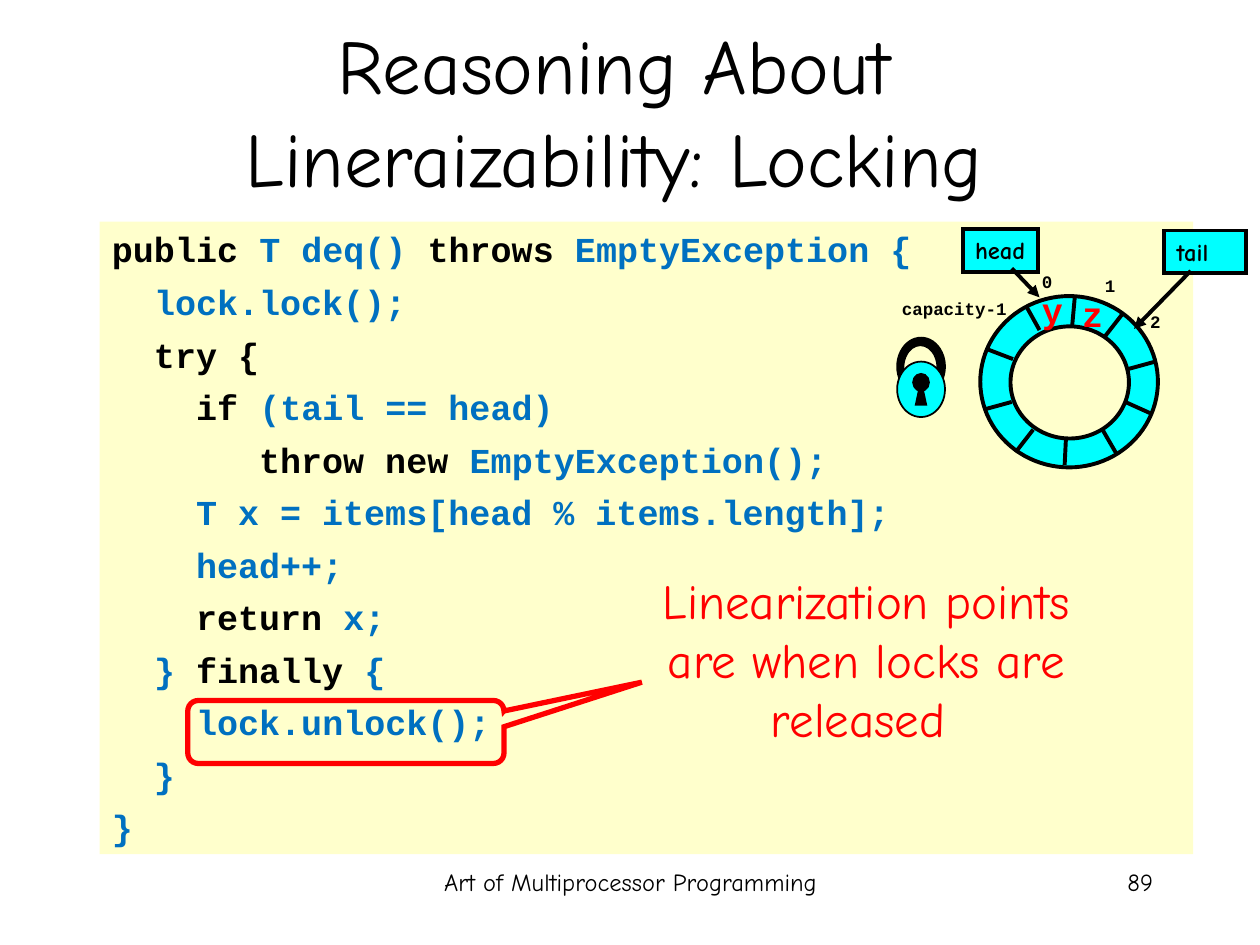
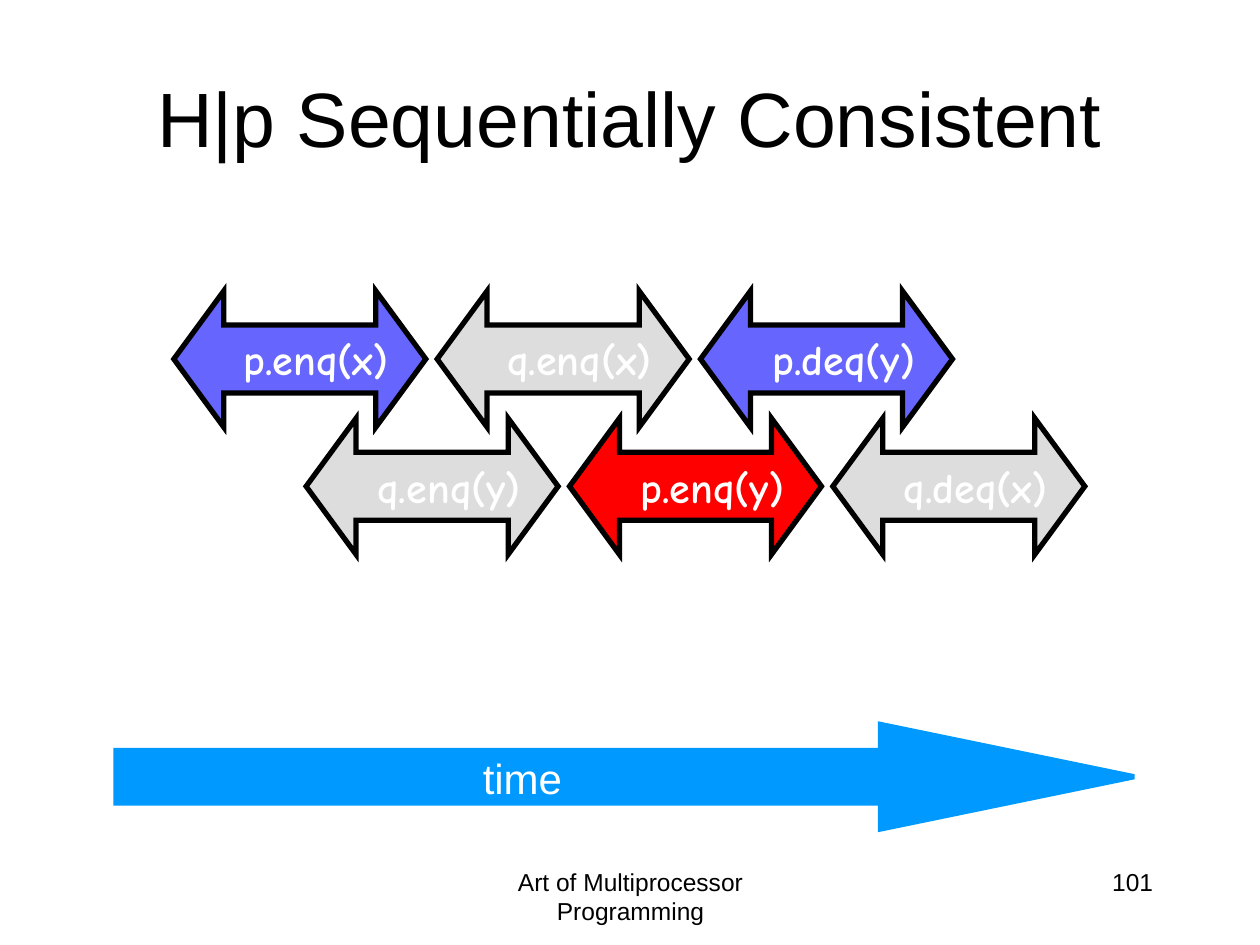
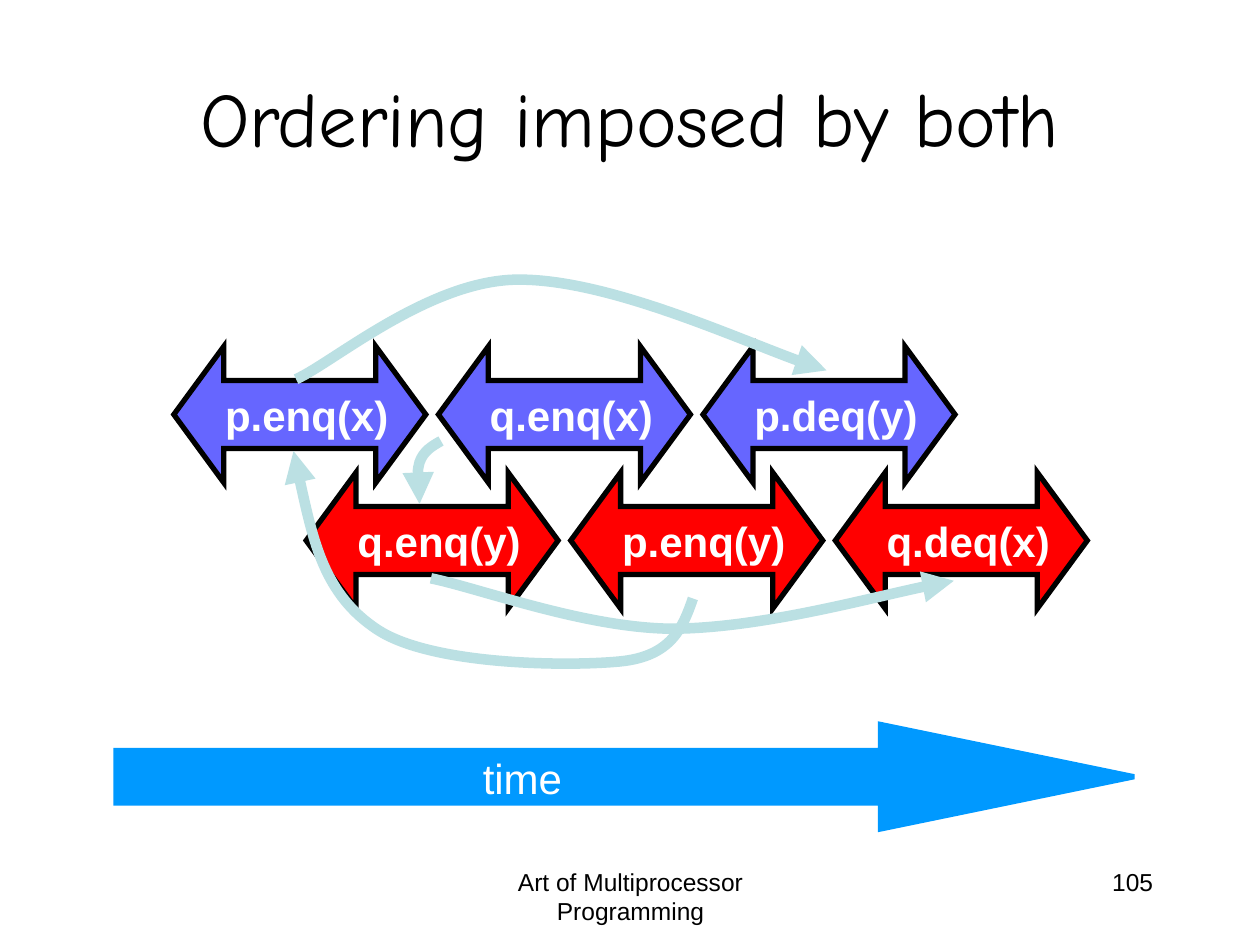
from lxml.etree import SubElement as Sub
from pptx import Presentation
from pptx.dml.color import RGBColor as Rgb
from pptx.enum.shapes import MSO_CONNECTOR as Link, MSO_SHAPE as Kind
from pptx.enum.text import MSO_ANCHOR as Anchor, PP_ALIGN as Align
from pptx.oxml.ns import qn
from pptx.util import Inches, Pt

# Shared style
COMIC, ARIAL, CODE = "Comic Neue", "Arial", "Courier New"
BLACK, WHITE, RED, BLUE = "000000", "FFFFFF", "FF0000", "0070C0"
CREAM, CYAN, VIOLET, GREY = "FFFFCC", "00FFFF", "6666FF", "DDDDDD"
SKY, PALE = "0099FF", "BBE0E3"
LEFT, MID, RIGHT = Align.LEFT, Align.CENTER, Align.RIGHT


def paint(code):
    return Rgb.from_string(code)


class Deck:
    def __init__(self):
        self.prs = Presentation()
        self.prs.slide_width, self.prs.slide_height = Inches(10), Inches(7.5)

    def page(self, title, num, face, foot, box=(0.5, 0.3, 9, 1.25)):
        """Start a slide with its title, footer and number."""
        self.shapes = self.prs.slides.add_slide(self.prs.slide_layouts[6]).shapes
        self.text(box, title, 44, face, align=MID, anchor=Anchor.MIDDLE)
        self.text((3.42, 6.83, 3.17, 0.5), ["Art of Multiprocessor Programming"],
                  14, foot, align=MID)
        self.text((7.17, 6.83, 2.08, 0.5), [str(num)], 14, foot, align=RIGHT)

    def label(self, shape, lines, size, face, hue=BLACK, bold=False, align=LEFT,
              anchor=Anchor.TOP, wrap=True, after=0):
        """Each line is a string or a list of (words, colour) runs."""
        frame = shape.text_frame
        frame.word_wrap, frame.vertical_anchor = wrap, anchor
        for i, line in enumerate(lines):
            para = frame.add_paragraph() if i else frame.paragraphs[0]
            para.alignment, para.space_after = align, Pt(after)
            for words, tint in [(line, hue)] if isinstance(line, str) else line:
                if words == "\v":
                    para.add_line_break()
                    continue
                run = para.add_run()
                run.text = words
                font = run.font
                font.size, font.name, font.bold = Pt(size), face, bold
                font.color.rgb = paint(tint)

    def text(self, box, lines, size, face, **style):
        shape = self.shapes.add_textbox(*map(Inches, box))
        self.label(shape, lines, size, face, **style)

    def dress(self, shape, fill=None, line=None, width=1):
        shape.shadow.inherit = False
        if fill:
            shape.fill.solid()
            shape.fill.fore_color.rgb = paint(fill)
        else:
            shape.fill.background()
        if line:
            shape.line.color.rgb = paint(line)
            shape.line.width = Pt(width)
            Sub(shape.line._get_or_add_ln(), qn("a:miter"), lim="800000")
        else:
            shape.line.fill.background()
        return shape

    def shape(self, kind, box, fill=None, line=None, width=1, adj=()):
        shape = self.shapes.add_shape(kind, *map(Inches, box))
        for i, part in enumerate(adj):
            shape.adjustments[i] = part
        return self.dress(shape, fill, line, width)

    def line(self, x1, y1, x2, y2, tip=False):
        line = self.shapes.add_connector(Link.STRAIGHT, *map(Inches, (x1, y1, x2, y2)))
        line.line.color.rgb = paint(BLACK)
        line.line.width = Pt(2.25)
        if tip:
            Sub(line.line._get_or_add_ln(), qn("a:tailEnd"), type="triangle")
        Sub(line._element.spPr, qn("a:effectLst"))

    def trace(self, points, close):
        spots = [(Inches(x), Inches(y)) for x, y in points]
        build = self.shapes.build_freeform(*spots[0])
        build.add_line_segments(spots[1:], close=close)
        return build.convert_to_shape()

    def curve(self, points):
        """Bezier chain with its arrowhead at the first point."""
        shape = self.trace(points, False)
        route = shape._element.find(".//" + qn("a:path"))
        steps = route.findall(qn("a:lnTo"))
        for i in range(0, len(steps), 3):
            bend = Sub(route, qn("a:cubicBezTo"))
            for step in steps[i:i + 3]:
                bend.append(step[0])
                route.remove(step)
        self.dress(shape, line=PALE, width=6)
        Sub(shape.line._get_or_add_ln(), qn("a:headEnd"), type="triangle")

    def calls(self, left, top, step, face, items):
        """A row of method calls as double arrows."""
        for i, (name, fill) in enumerate(items):
            arrow = self.shape(Kind.LEFT_RIGHT_ARROW, (left + i * step, top, 2, 1.08),
                               fill, BLACK, 3, (0.5, 0.367))
            self.label(arrow, [name], 24, face, hue=WHITE, bold=True, align=RIGHT,
                       anchor=Anchor.MIDDLE, wrap=False)

    def time(self):
        self.shape(Kind.RIGHT_ARROW, (0.92, 5.75, 8.08, 0.83), SKY, SKY, 3, (0.5, 2.425))
        self.text((3.73, 5.92, 0.83, 0.5), ["time"], 24, ARIAL, hue=WHITE,
                  align=RIGHT, wrap=False)


# Code lines: black and blue pieces take turns
SOURCE = [
    ("public ", "T deq() ", "throws ", "EmptyException {"),
    ("  ", "lock.lock();"),
    ("  try {",),
    ("    if ", "(tail == head)"),
    ("       throw new ", "EmptyException();"),
    ("", "    T x = items[head % items.length];"),
    ("", "    head++;"),
    ("    return ", "x;"),
    ("  ", "}", " finally ", "{"),
    ("    ", "lock.unlock();"),
    ("", "  }"),
    ("", "}"),
]
TICKS = [
    (8.06, 3.59, 8.2, 3.41), (8.77, 2.67, 8.91, 2.49), (8.95, 2.93, 9.17, 2.87),
    (7.81, 3.25, 8.03, 3.19), (7.83, 2.77, 8.04, 2.85), (8.93, 3.19, 9.13, 3.28),
    (8.15, 2.44, 8.25, 2.62), (8.53, 2.36, 8.51, 2.58), (8.75, 3.41, 8.86, 3.6),
    (8.46, 3.48, 8.45, 3.69),
]


def locking(deck):
    title = [(words, BLACK) for words in
             ("Reasoning About ", "\v", "Lineraizability: Locking ")]
    deck.page([title], 89, COMIC, COMIC, (0.73, 0.25, 8.5, 1.25))
    # Code panel
    panel = deck.shape(Kind.RECTANGLE, (0.79, 1.76, 8.68, 5.02), CREAM)
    lines = [[(words, (BLACK, BLUE)[i % 2]) for i, words in enumerate(line) if words]
             for line in SOURCE]
    deck.label(panel, lines, 20, CODE, bold=True, after=6)

    # Ring buffer
    deck.shape(Kind.OVAL, (7.78, 2.35, 1.41, 1.36), CYAN, BLACK, 2.25)
    deck.shape(Kind.OVAL, (8.02, 2.59, 0.94, 0.89), CREAM, BLACK, 2.25)
    for tick in TICKS:
        deck.line(*tick)
    for name, x, y, wide in [("0", 8.17, 2.1, 0.28), ("1", 8.67, 2.13, 0.28),
                             ("capacity-1", 7.06, 2.32, 1.03), ("2", 9.03, 2.42, 0.28)]:
        deck.text((x, y, wide, 0.27), [name], 10, CODE, bold=True, wrap=False)

    # Head and tail pointers
    for name, box, ray in [
            ("head", (7.64, 1.82, 0.6, 0.34), (8.03, 2.13, 8.25, 2.36)),
            ("tail", (9.24, 1.83, 0.65, 0.34), (9.45, 2.15, 9, 2.61))]:
        tag = deck.shape(Kind.RECTANGLE, box, CYAN, BLACK, 2.25)
        deck.label(tag, [name], 14, COMIC, bold=True, wrap=name == "tail")
        deck.line(*ray, tip=True)
    for name, x, y in [("y", 8.17, 2.24), ("z", 8.49, 2.27)]:
        deck.text((x, y, 0.37, 0.44), [name], 20, CODE, hue=RED, bold=True, wrap=False)

    # Padlock
    for box, fill, edge in [((7.12, 2.68, 0.38, 0.46), BLACK, BLACK),
                            ((7.17, 2.74, 0.27, 0.36), CREAM, BLACK),
                            ((7.12, 2.87, 0.38, 0.44), CYAN, BLACK),
                            ((7.24, 2.96, 0.14, 0.15), BLACK, None)]:
        deck.shape(Kind.OVAL, box, fill, edge)
    slot = [(7.26, 3.22), (7.29, 3.08), (7.33, 3.08), (7.36, 3.22)]
    deck.dress(deck.trace(slot, True), BLACK)

    # Callout
    deck.shape(Kind.ROUNDED_RECTANGULAR_CALLOUT, (1.49, 5.56, 2.51, 0.5), None, RED, 3,
               (0.936, -0.791, 0.167))
    deck.text((4.79, 4.48, 4.17, 1.97),
              ["Linearization points", "are when locks are released "],
              28, COMIC, hue=RED, align=MID)


def history(deck):
    deck.page(["H|p Sequentially Consistent"], 101, ARIAL, ARIAL)
    deck.time()
    deck.calls(1.38, 2.31, 2.09, COMIC,
               [("p.enq(x)", VIOLET), ("q.enq(x)", GREY), ("p.deq(y)", VIOLET)])
    deck.calls(2.43, 3.32, 2.09, COMIC,
               [("q.enq(y)", GREY), ("p.enq(y)", RED), ("q.deq(x)", GREY)])


def order(deck):
    deck.page(["Ordering imposed by both"], 105, COMIC, ARIAL)
    deck.time()
    deck.calls(1.38, 2.75, 2.1, ARIAL,
               [(name, VIOLET) for name in ("p.enq(x)", "q.enq(x)", "p.deq(y)")])
    deck.calls(2.43, 3.75, 2.1, ARIAL,
               [(name, RED) for name in ("q.enq(y)", "p.enq(y)", "q.deq(x)")])
    # Order arrows
    for points in [
            [(3.33, 4), (3.32, 3.88), (3.31, 3.75), (3.33, 3.67),
             (3.36, 3.58), (3.43, 3.54), (3.5, 3.5)],
            [(7.57, 4.61), (7.19, 4.67), (6.01, 4.99), (5.32, 4.99),
             (4.63, 4.98), (3.81, 4.67), (3.42, 4.59)],
            [(6.56, 2.94), (6.15, 2.82), (4.8, 2.21), (4.1, 2.22),
             (3.4, 2.23), (2.64, 2.88), (2.35, 3.01)],
            [(2.33, 3.58), (2.45, 4.15), (2.57, 4.72), (3, 5),
             (3.43, 5.28), (4.5, 5.29), (4.92, 5.25),
             (5.33, 5.21), (5.42, 4.98), (5.5, 4.75)]]:
        deck.curve(points)


def main():
    deck = Deck()
    for build in (locking, history, order):
        build(deck)
    deck.prs.save("out.pptx")


if __name__ == "__main__":
    main()
